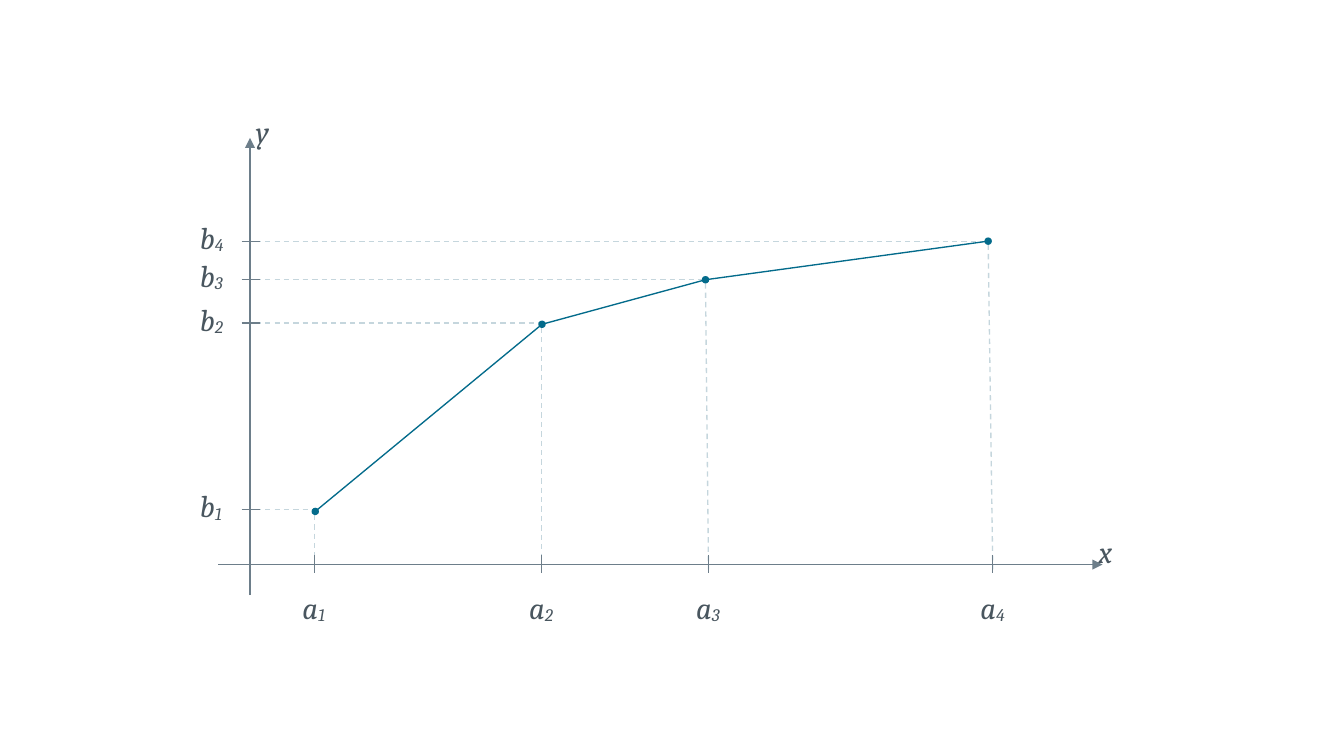
from itertools import pairwise

from lxml import etree
from pptx import Presentation
from pptx.dml.color import RGBColor
from pptx.enum.dml import MSO_LINE
from pptx.enum.shapes import MSO_CONNECTOR, MSO_SHAPE
from pptx.enum.text import MSO_ANCHOR, MSO_AUTO_SIZE
from pptx.oxml.ns import qn
from pptx.util import Pt

COLORS = {"guide": "C5D6DD", "axis": "6D7E8A", "text": "49565F", "curve": "036B8B"}

# Tick positions and the points of the curve, in points
A_TICKS = [185.8, 319.7, 418.3, 586.1]
B_TICKS = [301, 190.8, 164.9, 142.6]
POINTS = [(186.1, 302), (320, 191.5), (416.5, 165.2), (583.4, 142.4)]
X_AXIS_Y, Y_AXIS_X = 333.4, 147.6


class Diagram:
    font = "Cambria"
    size = 18
    thin = 0.79

    def __init__(self, slide):
        self.s = slide

    def color(self, name):
        return RGBColor.from_string(COLORS[name])

    def line(self, x1, y1, x2, y2, color, width=thin, dash=False, arrow=False):
        c = self.s.shapes.add_connector(
            MSO_CONNECTOR.STRAIGHT, Pt(x1), Pt(y1), Pt(x2), Pt(y2))
        c.line.color.rgb = self.color(color)
        c.line.width = Pt(width)
        if dash:
            c.line.dash_style = MSO_LINE.DASH
        if arrow:
            ln = c.line._get_or_add_ln()
            etree.SubElement(ln, qn("a:tailEnd")).set("type", "triangle")
        etree.SubElement(c._element.spPr, qn("a:effectLst"))

    def label(self, x, y, w, letter, index="", anchor=MSO_ANCHOR.TOP):
        tf = self.s.shapes.add_textbox(Pt(x), Pt(y), Pt(w), Pt(25.2)).text_frame
        tf.word_wrap = False
        tf.auto_size = MSO_AUTO_SIZE.SHAPE_TO_FIT_TEXT
        tf.vertical_anchor = anchor
        p = tf.paragraphs[0]
        p.font.name = self.font
        p.font.size = Pt(self.size)
        p.font.italic = True
        p.font.color.rgb = self.color("text")
        p.add_run().text = letter
        if index:
            r = p.add_run()
            r.text = index
            r.font._element.set("baseline", "-8000")

    def dot(self, x, y, d=4.4):
        sp = self.s.shapes.add_shape(
            MSO_SHAPE.OVAL, Pt(x - d / 2), Pt(y - d / 2), Pt(d), Pt(d))
        sp.shadow.inherit = False
        sp.fill.solid()
        sp.fill.fore_color.rgb = self.color("curve")
        sp.line.fill.background()


def main():
    prs = Presentation()
    prs.slide_width, prs.slide_height = Pt(793.44), Pt(446.4)
    d = Diagram(prs.slides.add_slide(prs.slide_layouts[6]))

    # Dashed guides from each point to both axes
    for a, b, (x, y) in zip(A_TICKS, B_TICKS, POINTS):
        d.line(x if x < a else a, y + 2, a, 336.3, "guide", dash=True)
        d.line(145.4, b, x, b, "guide", dash=True)

    # Axes
    d.line(128.9, X_AXIS_Y, 650.9, X_AXIS_Y, "axis", width=1, arrow=True)
    d.line(Y_AXIS_X, 351.4, Y_AXIS_X, 81.4, "axis", width=1, arrow=True)
    d.label(641.5, 311, 27.4, "x")
    d.label(144, 63.4, 20.9, "y")

    # Ticks and their labels
    for i, (a, b) in enumerate(zip(A_TICKS, B_TICKS), 1):
        d.line(a, X_AXIS_Y - 5.8, a, X_AXIS_Y + 5, "axis")
        d.label(a - 14.4, 344.2, 28.8, "a", str(i))
        d.line(Y_AXIS_X - 5, b, Y_AXIS_X + 5.8, b, "axis")
        d.label(110.9, b - 15.1, 28.8, "b", str(i), MSO_ANCHOR.MIDDLE)

    # Curve
    for x, y in POINTS:
        d.dot(x, y)
    for start, end in pairwise(POINTS):
        d.line(*start, *end, "curve")

    prs.save("out.pptx")


if __name__ == "__main__":
    main()
